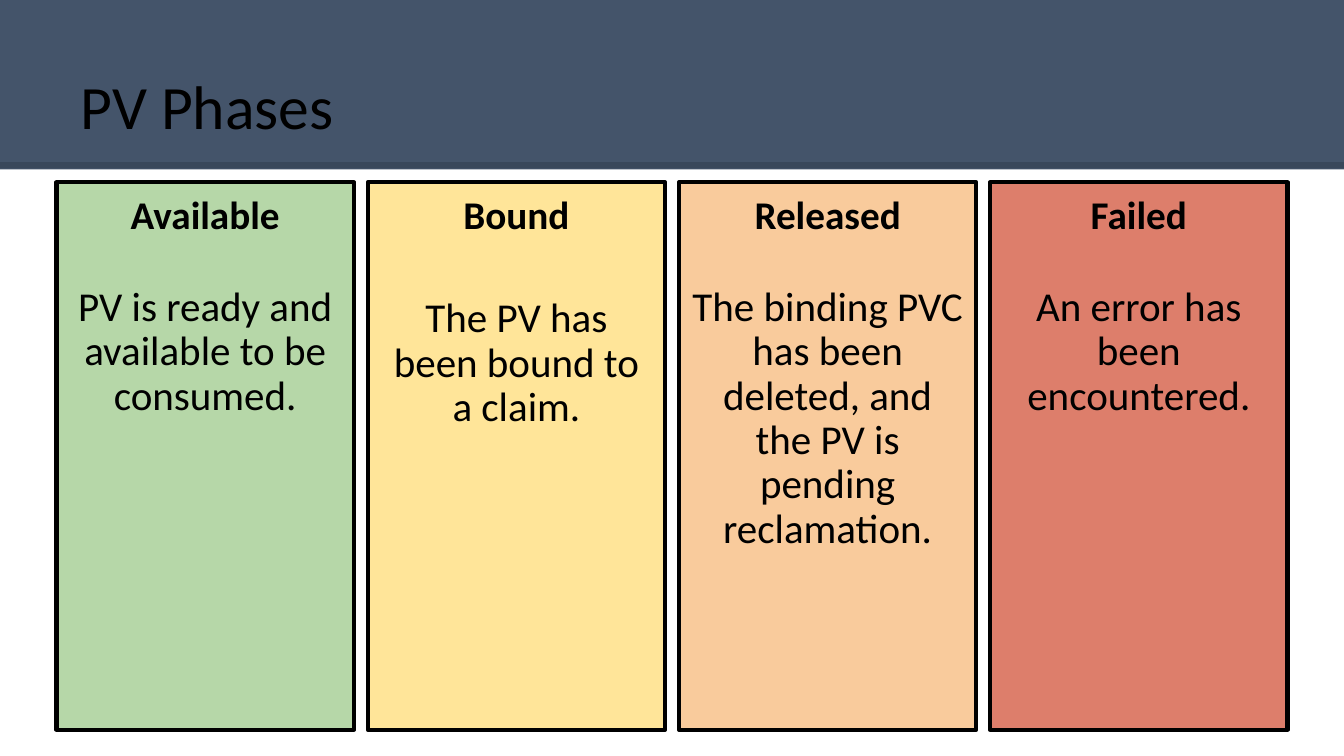
"""Build the PV Phases slide: a title band above four phase columns."""
from lxml import etree
from pptx import Presentation
from pptx.dml.color import RGBColor
from pptx.enum import shapes, text
from pptx.oxml.ns import qn
from pptx.util import Inches, Pt

BLACK = RGBColor(0x00, 0x00, 0x00)
SLATE = RGBColor(0x44, 0x54, 0x6A)
GREEN = RGBColor(0xB6, 0xD7, 0xA8)
YELLOW = RGBColor(0xFF, 0xE5, 0x99)
ORANGE = RGBColor(0xF9, 0xCB, 0x9C)
RED = RGBColor(0xDD, 0x7E, 0x6B)

TITLE = "PV Phases"
PHASES = [
    ("Available", "PV is ready and available to be consumed.", GREEN, 34.4),
    ("Bound", "The PV has been bound to a claim.", YELLOW, 42.4),
    ("Released", "The binding PVC has been deleted, and the PV is pending reclamation.", ORANGE, 34.4),
    ("Failed", "An error has been encountered.", RED, 34.4),
]

SLIDE_W, SLIDE_H = 13.33, 7.5
BAND_H, RULE_Y = 1.68, 1.64
COL_LEFT, COL_TOP, COL_W, COL_H = 0.56, 1.81, 2.95, 5.43
COLS_SPAN = 12.21
PITCH = (COLS_SPAN - COL_W) / (len(PHASES) - 1)
INSET = Inches(0.13)


def set_frame(tf, anchor):
    tf.word_wrap = True
    tf.vertical_anchor = anchor
    tf.margin_left = tf.margin_right = tf.margin_top = tf.margin_bottom = INSET


def add_run(p, words, size, align, bold=False):
    p.alignment = align
    p.line_spacing = 0.9
    r = p.add_run()
    r.text = words
    r.font.name = "Calibri"
    r.font.size = Pt(size)
    r.font.bold = bold
    r.font.color.rgb = BLACK


def add_rect(s, left, top, width, height, fill):
    sp = s.shapes.add_shape(shapes.MSO_SHAPE.RECTANGLE, Inches(left), Inches(top),
                            Inches(width), Inches(height))
    sp.shadow.inherit = False
    sp.fill.solid()
    sp.fill.fore_color.rgb = fill
    return sp


def add_header(s):
    add_rect(s, 0, 0, SLIDE_W, BAND_H, SLATE).line.fill.background()

    rule = s.shapes.add_connector(shapes.MSO_CONNECTOR.STRAIGHT, 0, Inches(RULE_Y),
                                  Inches(SLIDE_W), Inches(RULE_Y))
    rule.line.width = Pt(4.5)
    rule.line.color.rgb = BLACK
    color = rule.line._ln.find(".//" + qn("a:srgbClr"))
    etree.SubElement(color, qn("a:alpha"), val="15000")
    etree.SubElement(rule._element.spPr, qn("a:effectLst"))

    box = s.shapes.add_textbox(Inches(0.67), Inches(0.3), Inches(12), Inches(1.25))
    set_frame(box.text_frame, text.MSO_ANCHOR.BOTTOM)
    add_run(box.text_frame.paragraphs[0], TITLE, 44, text.PP_ALIGN.LEFT)


def add_phase(s, left, name, meaning, fill, gap):
    sp = add_rect(s, left, COL_TOP, COL_W, COL_H, fill)
    sp.line.color.rgb = BLACK
    sp.line.width = Pt(3)
    etree.SubElement(sp.line._ln, qn("a:round"))
    tf = sp.text_frame
    set_frame(tf, text.MSO_ANCHOR.TOP)
    add_run(tf.paragraphs[0], name, 28, text.PP_ALIGN.CENTER, bold=True)
    p = tf.add_paragraph()
    p.space_before = Pt(gap)
    add_run(p, meaning, 29.3, text.PP_ALIGN.CENTER)


def main():
    prs = Presentation()
    prs.slide_width, prs.slide_height = Inches(SLIDE_W), Inches(SLIDE_H)
    s = prs.slides.add_slide(prs.slide_layouts[6])
    add_header(s)
    for i, phase in enumerate(PHASES):
        add_phase(s, COL_LEFT + i * PITCH, *phase)
    prs.save("out.pptx")


if __name__ == "__main__":
    main()
